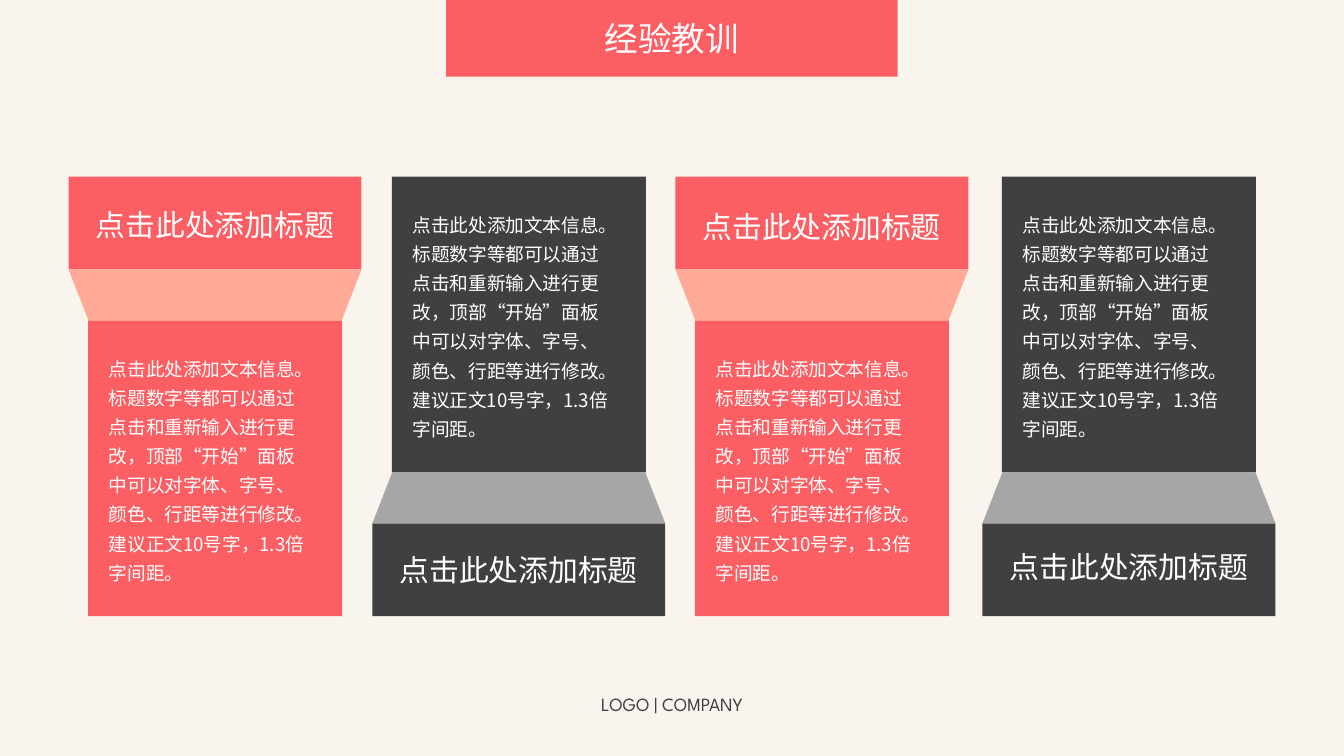
from dataclasses import dataclass
from lxml.etree import SubElement
from pptx import Presentation
from pptx.dml.color import RGBColor as Color
from pptx.enum.shapes import MSO_SHAPE as Shape
from pptx.enum.text import MSO_ANCHOR as Anchor, MSO_AUTO_SIZE as Fit, PP_ALIGN as Align
from pptx.oxml.ns import qn
from pptx.util import Inches, Pt


@dataclass(frozen=True)
class Theme:
    paper: str = "F9F5EE"
    red: str = "FB5F63"
    peach: str = "FFAA96"
    dark: str = "404040"
    grey: str = "A6A6A6"
    white: str = "FFFFFF"
    head: str = "League Spartan"
    body: str = "Noto Sans CJK SC"
    title: int = 18
    label: int = 16
    small: int = 10


T = Theme()
WIDTH = Inches(10)
HEIGHT = WIDTH * 9 // 16
CELL = WIDTH / 100
WIDE, HIGH = 21.8, 32.7
HEAD, FOLD, BODY = (rows / HIGH for rows in (6.9, 3.8, 22))
SLIM = 18.9 / WIDE
LABEL = "点击此处添加标题"
COPY = (
    "点击此处添加文本信息。",
    "标题数字等都可以通过点击和重新输入进行更改，顶部“开始”面板中可以对字体、"
    "字号、颜色、行距等进行修改。建议正文10号字，1.3倍字间距。",
)


def grid(col, row, cols, rows):
    return tuple(round(n * CELL) for n in (col, row, cols, rows))


def part(box, x, y, w, h):
    left, top, wide, high = box
    return (round(left + x * wide), round(top + y * high),
            round(w * wide), round(h * high))


def block(slide, kind, box, fill):
    shape = slide.shapes.add_shape(kind, *box)
    shape.shadow.inherit = False
    shape.fill.solid()
    shape.fill.fore_color.rgb = Color.from_string(fill)
    shape.line.fill.background()
    return shape


def write(frame, lines, size, face, ink, align=Align.CENTER, space=None):
    frame.text = "\n".join(lines)
    for para in frame.paragraphs:
        para.alignment = align
        para.line_spacing = space
        font = para.font
        font.size = Pt(size)
        font.color.rgb = Color.from_string(ink)
        font.name = face
        SubElement(font._element, qn("a:ea")).set("typeface", T.body)


def text(slide, box, lines, *style, wrap=False, **more):
    frame = slide.shapes.add_textbox(*box).text_frame
    frame.word_wrap = wrap
    frame.auto_size = Fit.SHAPE_TO_FIT_TEXT
    write(frame, lines, *style, **more)


def banner(slide, box):
    frame = block(slide, Shape.RECTANGLE, box, T.red).text_frame
    frame.vertical_anchor = Anchor.MIDDLE
    write(frame, ["经验教训"], T.title, T.head, T.white)


def card(slide, box, down, shift):
    fill, shade = (T.red, T.peach) if down else (T.dark, T.grey)
    head_y, fold_y, body_y = (0, HEAD, HEAD + FOLD) if down else (BODY + FOLD, BODY, 0)
    head = part(box, 0, head_y, 1, HEAD)
    body = part(box, (1 - SLIM) / 2, body_y, SLIM, BODY)
    block(slide, Shape.RECTANGLE, head, fill)
    block(slide, Shape.RECTANGLE, body, fill)
    fold = block(slide, Shape.TRAPEZOID, part(box, 0, fold_y, 1, FOLD), shade)
    fold.adjustments[0] = 0.39
    fold.rotation = 180 if down else 0
    text(slide, part(body, 0.03, 0.08, 0.9, 0.84), COPY, T.small, T.body, T.white,
         wrap=True, align=Align.LEFT, space=1.3)
    text(slide, part(head, 0.04, shift, 0.92, 0.54), [LABEL], T.label, T.head, T.white)


def footer(slide, box):
    text(slide, box, ["LOGO | COMPANY"], T.small, T.head, T.dark)


def main():
    deck = Presentation()
    deck.slide_width, deck.slide_height = WIDTH, HEIGHT
    slide = deck.slides.add_slide(deck.slide_layouts[6])
    back = slide.background.fill
    back.solid()
    back.fore_color.rgb = Color.from_string(T.paper)
    cards = ((5.1, True, 0.25), (27.7, False, 0.23),
             (50.25, True, 0.27), (73.1, False, 0.2))
    for col, down, shift in cards:
        card(slide, grid(col, 13.15, WIDE, HIGH), down, shift)
    banner(slide, grid(33.2, 0, 33.6, 5.7))
    footer(slide, grid(42.35, 51.05, 15.3, 2.7))
    deck.save("out.pptx")


if __name__ == "__main__":
    main()
